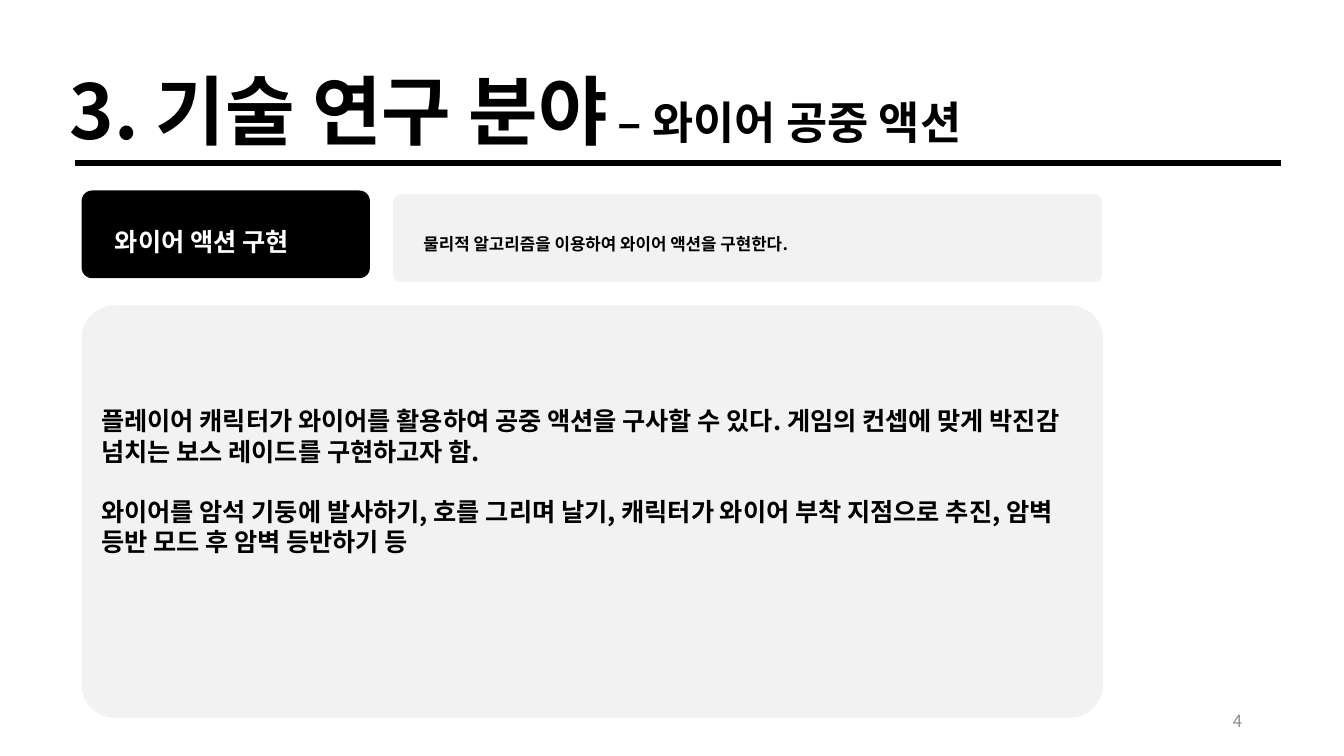
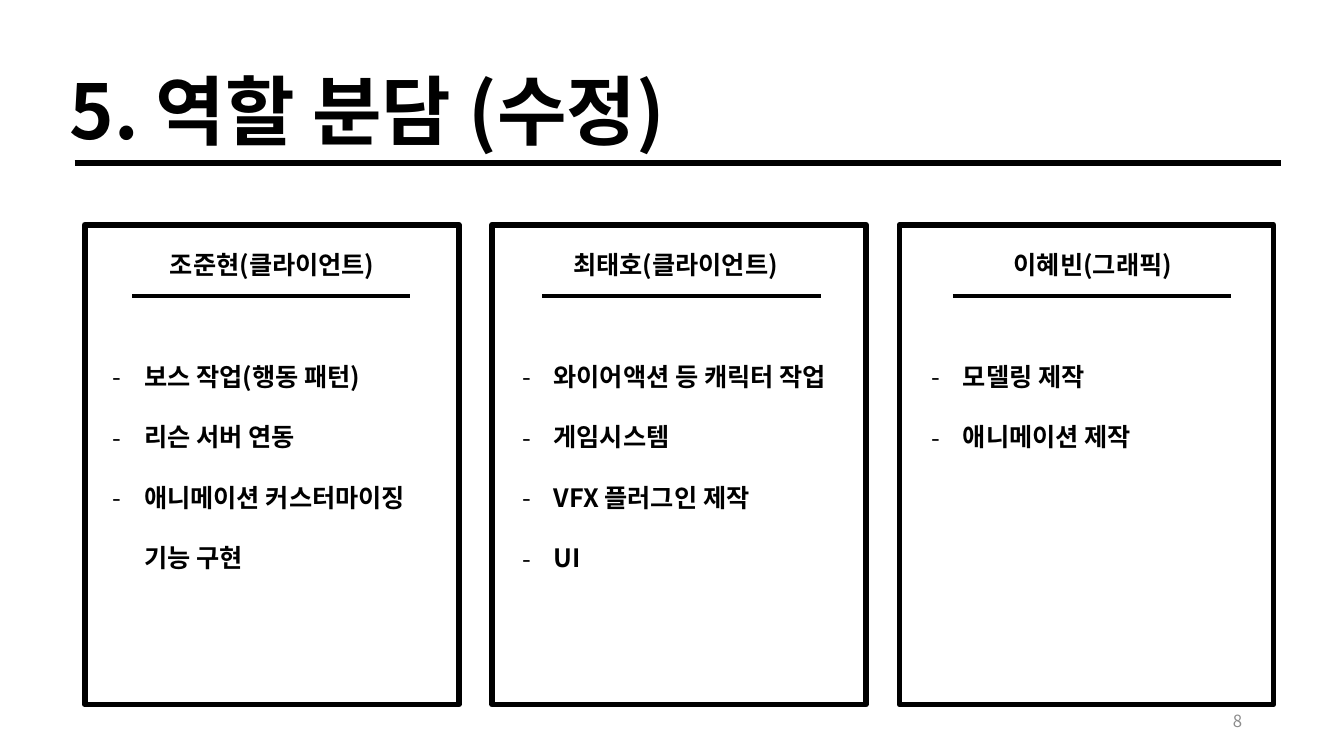
import pptx
import pptx.dml.color
import pptx.enum.shapes
import pptx.enum.text
import pptx.oxml.ns
import pptx.util
from lxml import etree

Inches = pptx.util.Inches
Pt = pptx.util.Pt
Align = pptx.enum.text.PP_ALIGN
Anchor = pptx.enum.text.MSO_ANCHOR
Shape = pptx.enum.shapes.MSO_SHAPE
qn = pptx.oxml.ns.qn

FONT = "Noto Sans CJK KR"
BLACK, WHITE, PANEL, GRAY = "000000", "FFFFFF", "F2F2F2", "8C8C8C"
TITLE_ONLY, COMPARISON = 5, 4


def color(hex_string):
    return pptx.dml.color.RGBColor.from_string(hex_string)


def add_dash(paragraph, indent):
    """Give a paragraph a dash bullet with a hanging indent."""
    properties = paragraph._p.get_or_add_pPr()
    properties.set("marL", str(Inches(indent)))
    properties.set("indent", str(-Inches(indent)))
    etree.SubElement(properties, qn("a:buFont")).set("typeface", FONT)
    etree.SubElement(properties, qn("a:buChar")).set("char", "-")


def write(shape, paragraphs, size=18, fill=BLACK, bold=True, align=Align.LEFT,
          anchor=Anchor.TOP, spacing=1, gap=0, dash=False,
          insets=(0.1, 0.05, 0.1, 0.05)):
    """Fill a shape with paragraphs, each a list of runs (text, size or None)."""
    frame = shape.text_frame
    frame.word_wrap = True
    frame.auto_size = pptx.enum.text.MSO_AUTO_SIZE.NONE
    frame.vertical_anchor = anchor
    (frame.margin_left, frame.margin_top,
     frame.margin_right, frame.margin_bottom) = map(Inches, insets)
    for index, runs in enumerate(paragraphs):
        paragraph = frame.add_paragraph() if index else frame.paragraphs[0]
        if dash:
            add_dash(paragraph, 0.31)
        paragraph.alignment = align
        paragraph.line_spacing = float(spacing)
        paragraph.space_before = Pt(gap if index else 0)
        for text, run_size in ([(runs, None)] if isinstance(runs, str) else runs):
            run = paragraph.add_run()
            run.text = text
            run.font.size = Pt(run_size or size)
            run.font.bold = bold
            run.font.name = FONT
            run.font.color.rgb = color(fill)
            east_asian = etree.SubElement(run._r.get_or_add_rPr(), qn("a:ea"))
            east_asian.set("typeface", FONT)


class Deck:
    """Holds the shared style and the slide being built."""

    def __init__(self):
        self.presentation = pptx.Presentation()
        self.presentation.slide_width = Inches(13.33)
        self.presentation.slide_height = Inches(7.5)
        self.slide = None

    def new_slide(self, layout, title, number):
        layouts = self.presentation.slide_layouts
        self.slide = self.presentation.slides.add_slide(layouts[layout])
        self.place(self.slide.shapes.title, 0.59, 0.31, 12.1, 1.15)
        write(self.slide.shapes.title, [title], size=54, spacing=1.3)
        self.rule(0.74, 1.62, 11.97, 4)
        self.text(9.42, 6.95, 3, 0.4, [number], size=12, fill=GRAY, bold=False,
                  align=Align.RIGHT, anchor=Anchor.MIDDLE)

    def place(self, shape, left, top, width, height):
        shape.left, shape.top = Inches(left), Inches(top)
        shape.width, shape.height = Inches(width), Inches(height)

    def text(self, left, top, width, height, paragraphs, **style):
        box = self.slide.shapes.add_textbox(
            *map(Inches, (left, top, width, height)))
        write(box, paragraphs, **style)

    def rule(self, left, top, width, weight):
        line = self.slide.shapes.add_connector(
            pptx.enum.shapes.MSO_CONNECTOR.STRAIGHT,
            Inches(left), Inches(top), Inches(left + width), Inches(top))
        line.line.color.rgb = color(BLACK)
        line.line.width = Pt(weight)
        etree.SubElement(line._element.spPr, qn("a:effectLst"))

    def shape(self, kind, left, top, width, height):
        shape = self.slide.shapes.add_shape(
            kind, *map(Inches, (left, top, width, height)))
        shape.shadow.inherit = False
        return shape

    def panel(self, left, top, width, height, radius, paragraphs,
              background=PANEL, **style):
        panel = self.shape(Shape.ROUNDED_RECTANGLE, left, top, width, height)
        panel.adjustments[0] = radius
        panel.fill.solid()
        panel.fill.fore_color.rgb = color(background)
        panel.line.fill.background()
        write(panel, paragraphs, anchor=Anchor.MIDDLE, **style)

    def frame(self, left, top, width, height):
        frame = self.shape(Shape.RECTANGLE, left, top, width, height)
        frame.fill.background()
        frame.line.color.rgb = color(BLACK)
        frame.line.width = Pt(4)

    def dash_list(self, placeholder, left, top, width, height, items):
        self.place(placeholder, left, top, width, height)
        write(placeholder, items, spacing=2, dash=True)

    def remove_empty_placeholders(self):
        for placeholder in list(self.slide.placeholders):
            if not placeholder.text_frame.text:
                placeholder._element.getparent().remove(placeholder._element)


def build_wire_action(deck):
    deck.new_slide(TITLE_ONLY, [("3. 기술 연구 분야", None),
                                (" – 와이어 공중 액션", 32)], "4")
    # Topic label and its summary
    deck.panel(0.81, 1.89, 2.86, 0.87, 0.12, ["와이어 액션 구현"],
               background=BLACK, fill=WHITE, insets=(0.3, 0.18, 0.1, 0.05))
    deck.panel(3.9, 1.93, 7.03, 0.87, 0.08,
               ["물리적 알고리즘을 이용하여 와이어 액션을 구현한다."],
               size=12, insets=(0.28, 0.15, 0.1, 0.05))
    # Description
    deck.panel(0.81, 3.03, 10.13, 4.09, 0.08, [
        "플레이어 캐릭터가 와이어를 활용하여 공중 액션을 구사할 수 있다. "
        "게임의 컨셉에 맞게 박진감 넘치는 보스 레이드를 구현하고자 함.",
        "와이어를 암석 기둥에 발사하기, 호를 그리며 날기, "
        "캐릭터가 와이어 부착 지점으로 추진, 암벽 등반 모드 후 암벽 등반하기 등",
    ], gap=21.6, insets=(0.1, 0.05, 0.1, 0.65))


def build_roles(deck):
    deck.new_slide(COMPARISON, "5. 역할 분담 (수정)", "8")
    # One column per member: heading, heading centre, tasks
    members = [
        ("조준현(클라이언트)", 2.7,
         ["보스 작업(행동 패턴)", "리슨 서버 연동",
          "애니메이션 커스터마이징 기능 구현"]),
        ("최태호(클라이언트)", 6.7,
         ["와이어액션 등 캐릭터 작업", "게임시스템", "VFX 플러그인 제작", "UI"]),
        ("이혜빈(그래픽)", 10.84, ["모델링 제작", "애니메이션 제작"]),
    ]
    bodies = list(deck.slide.placeholders)[1:]
    for column, (heading, center, tasks) in enumerate(members):
        deck.frame(0.84 + 4.04 * column, 2.23, 3.71, 4.76)
        deck.text(center - 1.28, 2.42, 2.56, 0.4, [heading], align=Align.CENTER)
        deck.rule(1.31 + 4.07 * column, 2.94, 2.76, 3)
        deck.dash_list(bodies[column], 1.02 + 4.06 * column, 3.23, 3.34, 3.03,
                       tasks)
    deck.remove_empty_placeholders()


def main():
    deck = Deck()
    build_wire_action(deck)
    build_roles(deck)
    deck.presentation.save("out.pptx")


if __name__ == "__main__":
    main()
